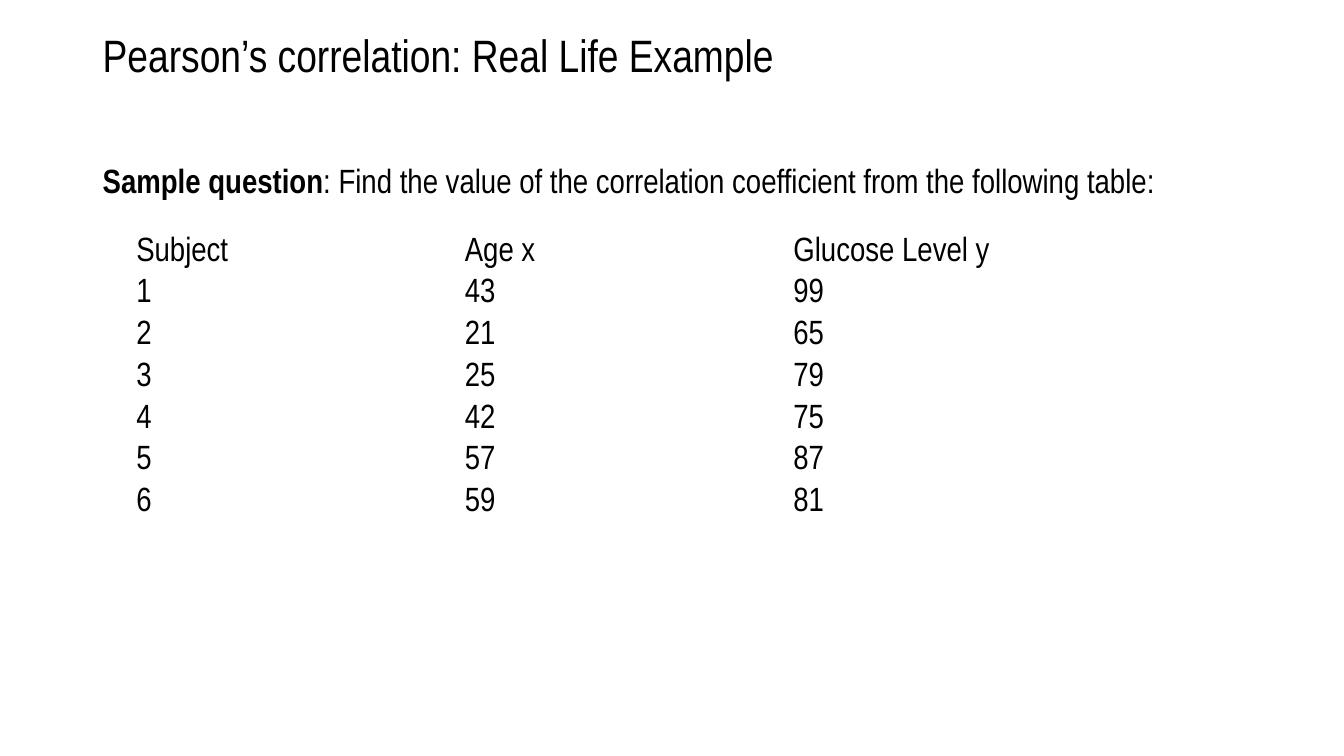
from pptx import Presentation
from pptx.dml.color import RGBColor
from pptx.enum.text import MSO_ANCHOR
from pptx.util import Cm, Pt

MIDDLE = MSO_ANCHOR.MIDDLE
BLACK = RGBColor(0, 0, 0)
FONT_NAME = "Arial Narrow"
BODY_SIZE = Pt(24)
TITLE_SIZE = Pt(32.4)
ROW_HEIGHT = Cm(1.05)

TITLE = "Pearson’s correlation: Real Life Example"
QUESTION = (
    "Sample question",
    ": Find the value of the correlation coefficient from the following table:",
)
SAMPLES = [
    ("Subject", "Age x", "Glucose Level y"),
    (1, 43, 99),
    (2, 21, 65),
    (3, 25, 79),
    (4, 42, 75),
    (5, 57, 87),
    (6, 59, 81),
]


def format_run(run, size, bold=False):
    run.font.name = FONT_NAME
    run.font.size = size
    run.font.bold = bold
    run.font.color.rgb = BLACK


def add_text_frame(slide, left, top, width, height):
    text_frame = slide.shapes.add_textbox(left, top, width, height).text_frame
    text_frame.word_wrap = True
    text_frame.vertical_anchor = MIDDLE
    return text_frame


def add_title(slide, left, top, width, height):
    paragraph = add_text_frame(slide, left, top, width, height).paragraphs[0]
    paragraph.text = TITLE
    format_run(paragraph.runs[0], TITLE_SIZE)


def add_question(slide, left, top, width, height):
    """Write the question with its label in bold."""
    paragraph = add_text_frame(slide, left, top, width, height).paragraphs[0]
    for index, text in enumerate(QUESTION):
        run = paragraph.add_run()
        run.text = text
        format_run(run, BODY_SIZE, bold=index == 0)


def add_sample_table(slide, left, top, width):
    """Add an unstyled table with equal columns."""
    row_count, column_count = len(SAMPLES), len(SAMPLES[0])
    table = slide.shapes.add_table(
        row_count, column_count, left, top, width, ROW_HEIGHT * row_count
    ).table
    table.first_row = False
    table.horz_banding = False
    for row_index, values in enumerate(SAMPLES):
        for column_index, value in enumerate(values):
            cell = table.cell(row_index, column_index)
            cell.fill.background()
            cell.vertical_anchor = MIDDLE
            cell.margin_top = cell.margin_bottom = 0
            paragraph = cell.text_frame.paragraphs[0]
            paragraph.text = str(value)
            format_run(paragraph.runs[0], BODY_SIZE)


def main():
    presentation = Presentation()
    presentation.slide_width = Cm(33.87)
    presentation.slide_height = Cm(19.05)
    slide = presentation.slides.add_slide(presentation.slide_layouts[6])
    add_sample_table(slide, Cm(3.18), Cm(5.84), Cm(24.84))
    add_question(slide, Cm(2.34), Cm(3.78), Cm(27.36), Cm(1.52))
    add_title(slide, Cm(2.34), Cm(0.41), Cm(29.21), Cm(1.93))
    presentation.save("out.pptx")


if __name__ == "__main__":
    main()
